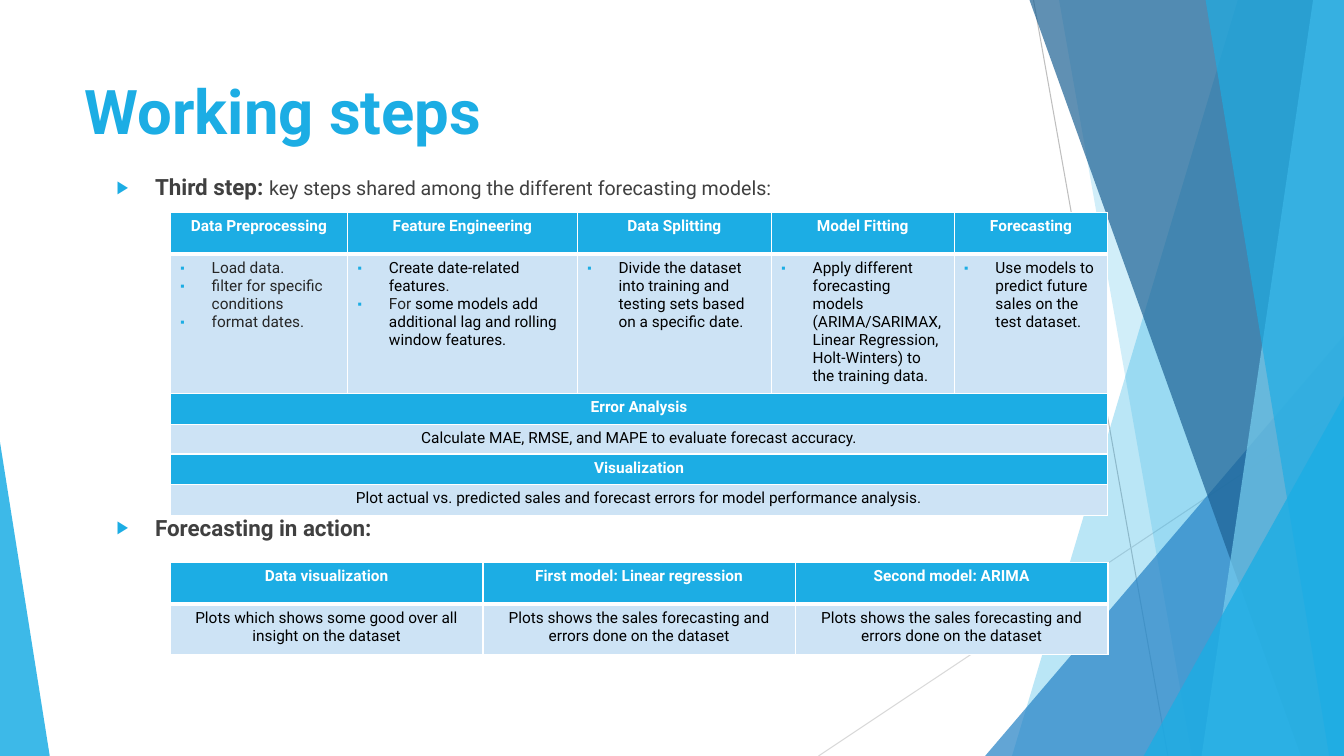
from dataclasses import dataclass

import pptx
import pptx.dml.color
import pptx.enum.shapes
import pptx.enum.text
import pptx.oxml
import pptx.oxml.ns
import pptx.util

ALIGN = pptx.enum.text.PP_ALIGN
ANCHOR = pptx.enum.text.MSO_ANCHOR
SHAPE = pptx.enum.shapes.MSO_SHAPE
NAMESPACE = pptx.oxml.ns.nsdecls("a")


@dataclass(frozen=True)
class Theme:
    font: str = "Roboto"
    accent: str = "1CADE4"
    blue: str = "2683C6"
    navy: str = "1D6294"
    sky: str = "77CEEF"
    pale: str = "CDE3F5"
    white: str = "FFFFFF"
    black: str = "000000"
    ink: str = "262626"
    gray: str = "404040"
    rules: tuple = ("BFBFBF", "D9D9D9")
    title: int = 44
    lead: int = 16
    body: int = 14
    cell: int = 11


THEME = Theme()


@dataclass(frozen=True)
class Box:
    left: int
    top: int
    width: int
    height: int

    def point(self, across, down):
        return (int(self.left + self.width * across / 100),
                int(self.top + self.height * down / 100))

    def region(self, across, down, width, height):
        return Box(*self.point(across, down),
                   int(self.width * width / 100), int(self.height * height / 100))

    def bounds(self):
        return self.left, self.top, self.width, self.height


def rgb(colour):
    return pptx.dml.color.RGBColor.from_string(colour)


def format_run(run, size, colour, bold=False):
    run.font.name = THEME.font
    run.font.size = pptx.util.Pt(size)
    run.font.bold = bold
    run.font.color.rgb = rgb(colour)


def add_bullet(paragraph, symbol, indent):
    properties = paragraph._p.get_or_add_pPr()
    properties.set("marL", str(pptx.util.Inches(indent)))
    properties.set("indent", str(pptx.util.Inches(-indent)))
    for xml in (f'<a:buClr {NAMESPACE}><a:srgbClr val="{THEME.accent}"/></a:buClr>',
                f'<a:buSzPct {NAMESPACE} val="80000"/>',
                f'<a:buFont {NAMESPACE} typeface="Arial"/>',
                f'<a:buChar {NAMESPACE} char="{symbol}"/>'):
        properties.append(pptx.oxml.parse_xml(xml))


def paint(shape, colour, opacity):
    shape.shadow.inherit = False
    shape.line.fill.background()
    shape.fill.solid()
    shape.fill.fore_color.rgb = rgb(colour)
    colour_node = shape._element.spPr.find(".//" + pptx.oxml.ns.qn("a:srgbClr"))
    colour_node.append(pptx.oxml.parse_xml(f'<a:alpha {NAMESPACE} val="{opacity * 1000}"/>'))


def add_rule(slide, box, start, end, colour):
    connector = slide.shapes.add_connector(
        pptx.enum.shapes.MSO_CONNECTOR.STRAIGHT, *box.point(*start), *box.point(*end))
    connector.line.color.rgb = rgb(colour)
    connector.line.width = pptx.util.Pt(0.75)
    connector._element.spPr.append(pptx.oxml.parse_xml(f"<a:effectLst {NAMESPACE}/>"))


def add_panel(slide, box, top_edge, bottom_edge, colour, opacity):
    builder = slide.shapes.build_freeform(*box.point(top_edge, 0))
    corners = ((100, 0), (100, 100), (bottom_edge, 100))
    builder.add_line_segments([box.point(*corner) for corner in corners], close=True)
    paint(builder.convert_to_shape(), colour, opacity)


def add_triangle(slide, box, apex, colour, opacity):
    triangle = slide.shapes.add_shape(SHAPE.ISOSCELES_TRIANGLE, *box.bounds())
    triangle.adjustments[0] = apex
    paint(triangle, colour, opacity)


def add_backdrop(slide, box):
    add_rule(slide, box, (76.9, 0), (86.9, 100), THEME.rules[0])
    add_rule(slide, box, (100, 53.7), (60.9, 100), THEME.rules[1])
    add_panel(slide, box, 92.1, 75.3, THEME.accent, 30)
    add_panel(slide, box, 78.8, 88.7, THEME.accent, 20)
    add_triangle(slide, box.region(73.3, 44.4, 26.7, 55.6), 1, THEME.blue, 72)
    add_panel(slide, box, 76.6, 96.8, THEME.navy, 70)
    add_panel(slide, box, 97.7, 89.4, THEME.sky, 70)
    add_panel(slide, box, 89.7, 98.9, THEME.accent, 65)
    add_triangle(slide, box.region(85.1, 52.4, 14.9, 47.6), 1, THEME.accent, 80)
    add_triangle(slide, box.region(0, 58.5, 3.7, 41.5), 0, THEME.accent, 85)


def add_title(slide, box, text):
    title = slide.shapes.title
    title.left, title.top, title.width, title.height = box.bounds()
    frame = title.text_frame
    frame.text = text
    frame.vertical_anchor = ANCHOR.TOP
    frame.paragraphs[0].alignment = ALIGN.LEFT
    format_run(frame.paragraphs[0].runs[0], THEME.title, THEME.accent, True)


def add_lead(slide, box, heading, detail=""):
    frame = slide.shapes.add_textbox(*box.bounds()).text_frame
    frame.word_wrap = True
    paragraph = frame.paragraphs[0]
    paragraph.text = heading
    format_run(paragraph.runs[0], THEME.lead, THEME.gray, True)
    if detail:
        run = paragraph.add_run()
        run.text = detail
        format_run(run, THEME.body, THEME.gray)
    add_bullet(paragraph, "▶", 0.38)


def style_cell(cell, row_index):
    cell.fill.solid()
    cell.fill.fore_color.rgb = rgb(THEME.pale if row_index % 2 else THEME.accent)
    heavy = {0: "B", 1: "T"}.get(row_index)
    for position, side in enumerate("LRTB"):
        width = pptx.util.Pt(3 if side == heavy else 1)
        cell._tc.get_or_add_tcPr().insert(position, pptx.oxml.parse_xml(
            f'<a:ln{side} {NAMESPACE} w="{width}"><a:solidFill>'
            f'<a:srgbClr val="{THEME.white}"/></a:solidFill></a:ln{side}>'))


def fill_cell(cell, content, heading):
    frame = cell.text_frame
    if isinstance(content, str):
        frame.text = content
        frame.paragraphs[0].alignment = ALIGN.CENTER
        colour = THEME.white if heading else THEME.black
        format_run(frame.paragraphs[0].runs[0], THEME.cell, colour, heading)
        return
    for index, pieces in enumerate(content):
        paragraph = frame.add_paragraph() if index else frame.paragraphs[0]
        for text, colour in pieces:
            run = paragraph.add_run()
            run.text = text
            format_run(run, THEME.cell, colour)
        add_bullet(paragraph, "▪", 0.31)


def add_steps_table(slide, box, columns, heights, rows):
    table = slide.shapes.add_table(len(rows), len(columns), *box.bounds()).table
    table.horz_banding = False
    for column, share in zip(table.columns, columns):
        column.width = int(box.width * share / 100)
    for row_index, (row, share, contents) in enumerate(zip(table.rows, heights, rows)):
        row.height = int(box.height * share / 100)
        cells = list(row.cells)
        for cell in cells:
            style_cell(cell, row_index)
        if len(contents) == 1:
            cells[0].merge(cells[-1])
        for cell, content in zip(cells, contents):
            fill_cell(cell, content, row_index % 2 == 0)


def add_working_steps(presentation):
    slide = presentation.slides.add_slide(presentation.slide_layouts[5])
    page = Box(0, 0, presentation.slide_width, presentation.slide_height)
    ink, black = THEME.ink, THEME.black
    model_steps = (
        ("Data Preprocessing", "Feature Engineering", "Data Splitting", "Model Fitting", "Forecasting"),
        ([[("Load data.", ink)], [("filter for specific conditions", ink)], [("format dates.", ink)]],
         [[("Create date-related features", black), (".", ink)],
          [("For ", ink), ("some models add additional lag and rolling window features.", black)]],
         [[("Divide the dataset into training and testing sets based on a specific date.", black)]],
         [[("Apply different forecasting models (ARIMA/SARIMAX, Linear Regression, "
            "Holt-Winters) to the training data.", black)]],
         [[("Use models to predict future sales on the test dataset.", black)]]),
        ("Error Analysis",),
        ("Calculate MAE, RMSE, and MAPE to evaluate forecast accuracy.",),
        ("Visualization",),
        ("Plot actual vs. predicted sales and forecast errors for model performance analysis.",))
    forecast = "Plots shows the sales forecasting and errors done on the dataset"
    demonstrations = (
        ("Data visualization", "First model: Linear regression", "Second model: ARIMA"),
        ("Plots which shows some good over all insight on the dataset", forecast, forecast))
    add_backdrop(slide, page)
    add_title(slide, page.region(5.55, 8.93, 35.93, 19.2), "Working steps")
    add_lead(slide, page.region(7.95, 22.3, 70.5, 4.8), "Third step: ",
             "key steps shared among the different forecasting models:")
    add_steps_table(slide, page.region(12.68, 28.13, 69.76, 39.6), (18.9, 24.5, 20.7, 19.5, 16.4),
                    (13.8, 45.4, 10.4, 9.8, 10.2, 10.4), model_steps)
    add_lead(slide, page.region(7.95, 67.3, 70.5, 4.8), "Forecasting in action:")
    add_steps_table(slide, page.region(12.68, 74.4, 69.76, 12.2), [100 / 3] * 3, (45, 55), demonstrations)


def main():
    presentation = pptx.Presentation()
    presentation.slide_width = pptx.util.Inches(13.33)
    presentation.slide_height = pptx.util.Inches(7.5)
    add_working_steps(presentation)
    presentation.save("out.pptx")


if __name__ == "__main__":
    main()
